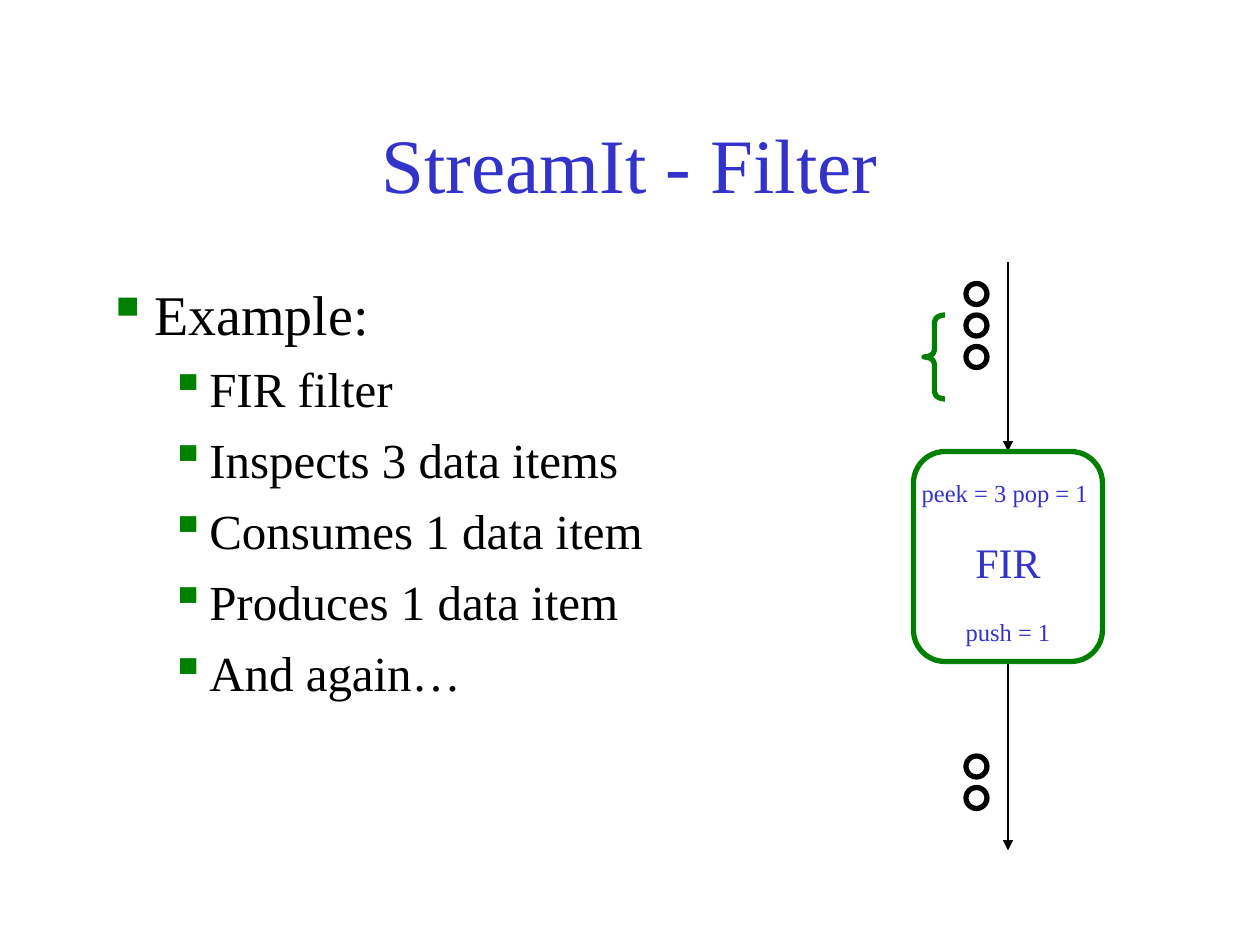
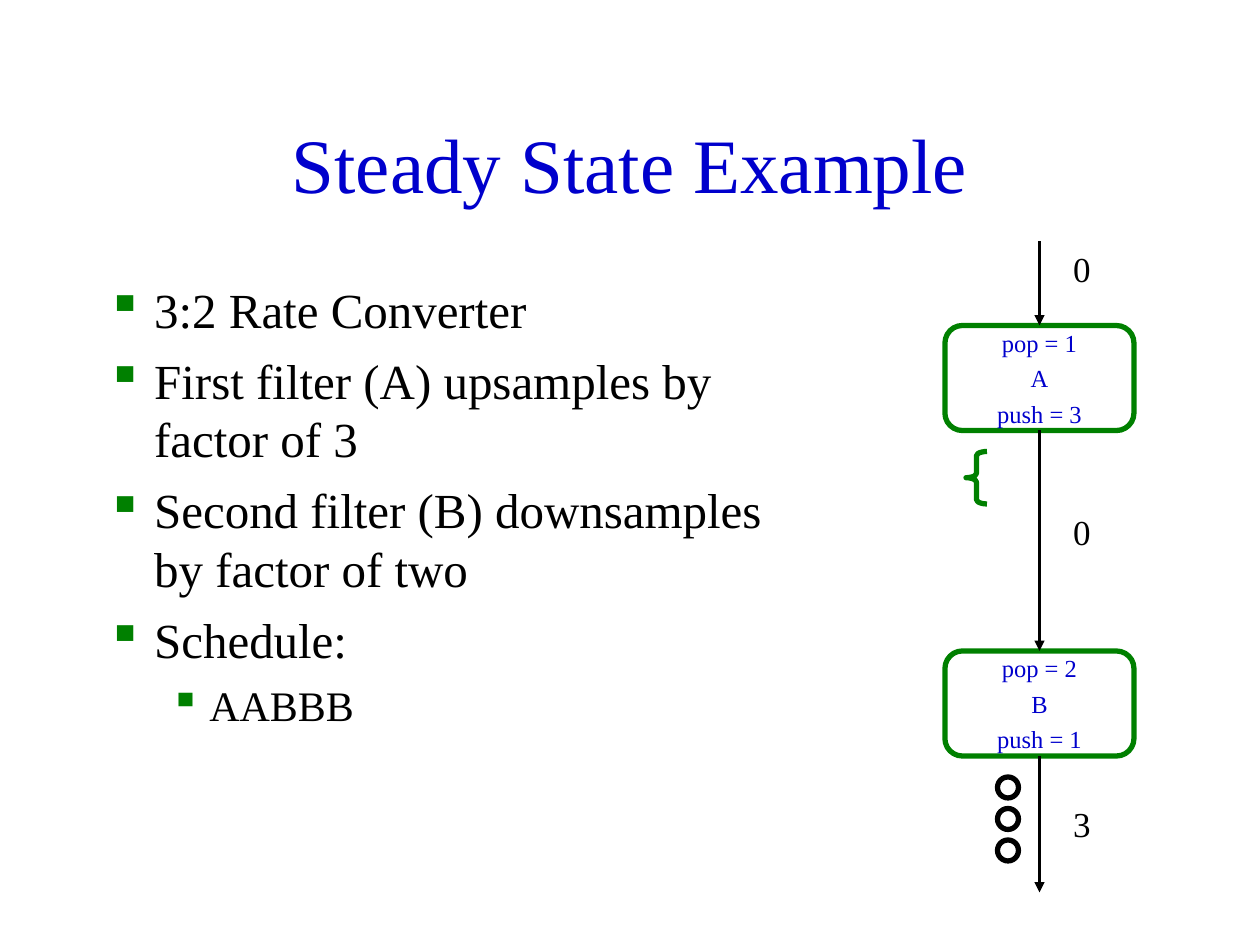
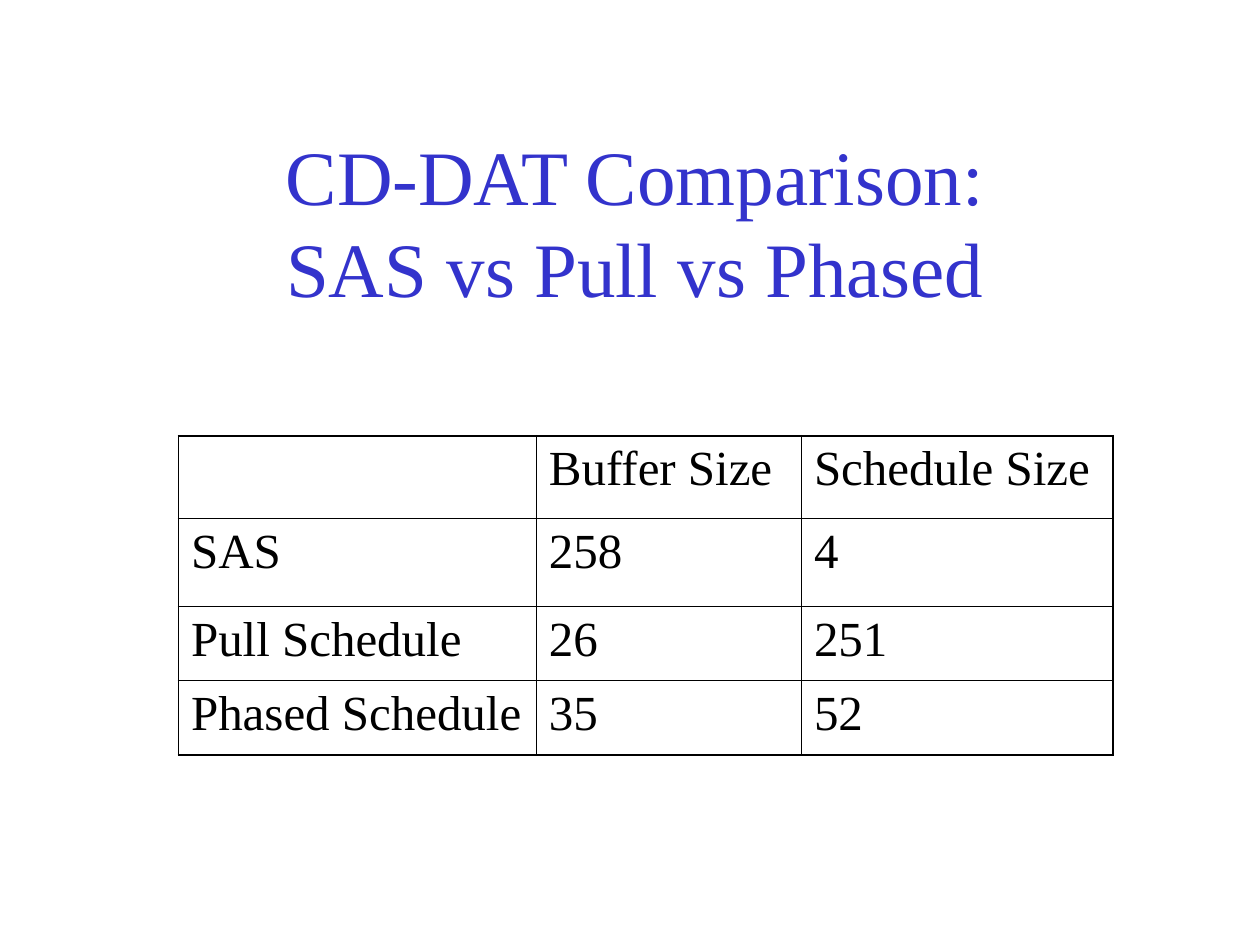
from typing import NamedTuple

from lxml import etree
from pptx import Presentation
from pptx.dml.color import RGBColor
from pptx.enum.shapes import MSO_CONNECTOR, MSO_SHAPE
from pptx.enum.text import MSO_ANCHOR, MSO_AUTO_SIZE, PP_ALIGN
from pptx.oxml.ns import qn
from pptx.util import Pt

BLACK = RGBColor(0x00, 0x00, 0x00)
GREEN = RGBColor(0x00, 0x80, 0x00)
INDIGO = RGBColor(0x33, 0x33, 0xCC)
BLUE = RGBColor(0x00, 0x00, 0xCC)

STRAIGHT = MSO_CONNECTOR.STRAIGHT
ELLIPSE = MSO_SHAPE.OVAL
LEFT_BRACE = MSO_SHAPE.LEFT_BRACE
ROUND_RECT = MSO_SHAPE.ROUNDED_RECTANGLE
ALT_PROCESS = MSO_SHAPE.FLOWCHART_ALTERNATE_PROCESS
TOP, MIDDLE = MSO_ANCHOR.TOP, MSO_ANCHOR.MIDDLE
LEFT, CENTER = PP_ALIGN.LEFT, PP_ALIGN.CENTER
GROW = MSO_AUTO_SIZE.SHAPE_TO_FIT_TEXT

FONT = "Times New Roman"
LEADING = 1.2
ITEM_SIZE = 12
ITEM_STEP = 18
BRACE_WIDTH = 12
OUTER_BORDER = 1.08
INNER_BORDER = 0.45
INDENTS = [(27, -27), (58.5, -22.5)]


class Box(NamedTuple):
    left: float
    top: float
    width: float
    height: float

    def lengths(self) -> list:
        return [Pt(v) for v in self]


class Line(NamedTuple):
    text: str
    size: float
    before: float = 0
    level: int | None = None


class Arrow(NamedTuple):
    x: float
    start: float
    end: float


class Items(NamedTuple):
    left: float
    top: float
    count: int


class Filter(NamedTuple):
    top: float
    lines: list


class Count(NamedTuple):
    top: float
    text: str


TITLE_BOX = Box(54, 48, 612, 90)


def style_runs(p, size: float, color: RGBColor) -> None:
    formats = {"name": FONT, "size": Pt(size)}
    for r in p.runs:
        for name, value in formats.items():
            setattr(r.font, name, value)
        r.font.color.rgb = color


def add_bullet(p, level: int) -> None:
    margin, indent = INDENTS[level]
    p.level = level
    pPr = p._p.get_or_add_pPr()
    pPr.set("marL", str(Pt(margin)))
    pPr.set("indent", str(Pt(indent)))
    color = etree.SubElement(pPr, qn("a:buClr"))
    etree.SubElement(color, qn("a:srgbClr")).set("val", str(GREEN))
    etree.SubElement(pPr, qn("a:buChar")).set("char", "▪")


def write_lines(tf, lines: list[Line], color: RGBColor, align=CENTER,
                anchor=MIDDLE, wrap: bool = True) -> None:
    tf.word_wrap = wrap
    tf.vertical_anchor = anchor
    for i, line in enumerate(lines):
        p = tf.paragraphs[0] if i == 0 else tf.add_paragraph()
        p.text = line.text
        formats = {
            "alignment": align,
            "line_spacing": Pt(LEADING * line.size),
            "space_before": Pt(line.before if i else 0),
        }
        for name, value in formats.items():
            setattr(p, name, value)
        if line.level is not None:
            add_bullet(p, line.level)
        style_runs(p, line.size, color)


def add_title(s, text: str, color: RGBColor, box: Box = TITLE_BOX) -> None:
    sp = s.shapes.add_textbox(*box.lengths())
    write_lines(sp.text_frame, [Line(text, 44)], color)


def add_body(s, width: float, lines: list[Line]) -> None:
    sp = s.shapes.add_textbox(*Box(54, 156, width, 324).lengths())
    write_lines(sp.text_frame, lines, BLACK, LEFT, TOP)


def add_outline(s, kind, box: Box, color: RGBColor):
    sp = s.shapes.add_shape(kind, *box.lengths())
    sp.shadow.inherit = False
    sp.fill.background()
    sp.line.color.rgb = color
    sp.line.width = Pt(3)
    return sp


def add_items(s, items: Items) -> None:
    for i in range(items.count):
        top = items.top + i * ITEM_STEP
        add_outline(s, ELLIPSE, Box(items.left, top, ITEM_SIZE, ITEM_SIZE), BLACK)


def add_brace(s, left: float, top: float, height: float) -> None:
    sp = add_outline(s, LEFT_BRACE, Box(left, top, BRACE_WIDTH, height), GREEN)
    sp.adjustments[0] = height / 12 / BRACE_WIDTH


def add_arrow(s, arrow: Arrow) -> None:
    ends = (arrow.x, arrow.start, arrow.x, arrow.end)
    cn = s.shapes.add_connector(STRAIGHT, *[Pt(v) for v in ends])
    cn.line.color.rgb = BLACK
    cn.line.width = Pt(1.5)
    etree.SubElement(cn.line._get_or_add_ln(), qn("a:tailEnd")).set("type", "triangle")
    etree.SubElement(cn._element.spPr, qn("a:effectLst"))


def add_count(s, count: Count) -> None:
    sp = s.shapes.add_textbox(*Box(606, count.top, 24.5, 32).lengths())
    write_lines(sp.text_frame, [Line(count.text, 20)], BLACK, anchor=TOP, wrap=False)
    sp.text_frame.auto_size = GROW


def set_borders(cell, widths: dict[str, float]) -> None:
    tcPr = cell._tc.get_or_add_tcPr()
    for i, (side, width) in enumerate(widths.items()):
        ln = etree.Element(qn(f"a:{side}"))
        ln.set("w", str(Pt(width)))
        fill = etree.SubElement(ln, qn("a:solidFill"))
        etree.SubElement(fill, qn("a:srgbClr")).set("val", str(BLACK))
        tcPr.insert(i, ln)


def add_grid(s, left: float, top: float, widths: list[float],
             heights: list[float], rows: list[list[str]]) -> None:
    box = Box(left, top, sum(widths), sum(heights))
    table = s.shapes.add_table(len(heights), len(widths), *box.lengths()).table
    table.first_row = table.horz_banding = False
    for column, width in zip(table.columns, widths):
        column.width = Pt(width)
    for row, height in zip(table.rows, heights):
        row.height = Pt(height)
    last_row, last_col = len(heights) - 1, len(widths) - 1
    for i, row in enumerate(rows):
        for j, text in enumerate(row):
            cell = table.cell(i, j)
            cell.fill.background()
            if text:
                cell.text = text
                style_runs(cell.text_frame.paragraphs[0], 28, BLACK)
            edges = {"lnL": j == 0, "lnR": j == last_col,
                     "lnT": i == 0, "lnB": i == last_row}
            set_borders(cell, {side: OUTER_BORDER if outer else INNER_BORDER
                               for side, outer in edges.items()})


def build_filter_slide(s) -> None:
    add_title(s, "StreamIt - Filter", INDIGO)
    details = ["FIR filter", "Inspects 3 data items", "Consumes 1 data item",
               "Produces 1 data item", "And again…"]
    add_body(s, 384, [Line("Example:", 32, 0, 0)] + [Line(t, 28, 7, 1) for t in details])
    for arrow in [Arrow(576, 150, 258), Arrow(576, 378, 486)]:
        add_arrow(s, arrow)
    for items in [Items(552, 162, 3), Items(552, 432, 2)]:
        add_items(s, items)
    add_brace(s, 528, 180, 48)
    sp = add_outline(s, ALT_PROCESS, Box(522, 258, 108, 120), GREEN)
    lines = [Line("peek = 3 pop = 1 ", 14), Line("FIR", 24, 17), Line("push = 1", 14, 17)]
    write_lines(sp.text_frame, lines, INDIGO, wrap=False)
    sp.text_frame.margin_top = Pt(10)


def build_steady_state_slide(s) -> None:
    add_title(s, "Steady State Example", BLUE)
    points = ["3:2 Rate Converter", "First filter (A) upsamples by factor of 3",
              "Second filter (B) downsamples by factor of two", "Schedule:"]
    add_body(s, 420, [Line(t, 28, 7, 0) for t in points] + [Line("AABBB", 24, 6, 1)])
    for f in [Filter(186, ["pop = 1", "A", "push = 3"]),
              Filter(372, ["pop = 2", "B", "push = 1"])]:
        sp = add_outline(s, ROUND_RECT, Box(540, f.top, 108, 60), GREEN)
        write_lines(sp.text_frame, [Line(t, 14, 3.5) for t in f.lines], BLUE, wrap=False)
    for arrow in [Arrow(594, 138, 186), Arrow(594, 246, 372), Arrow(594, 432, 510)]:
        add_arrow(s, arrow)
    for count in [Count(138, "0"), Count(288, "0"), Count(455, "3")]:
        add_count(s, count)
    add_brace(s, 552, 258, 30)
    add_items(s, Items(570, 444, 3))


def build_comparison_slide(s) -> None:
    add_title(s, "CD-DAT Comparison:\vSAS vs Pull vs Phased", INDIGO, Box(54, 66, 618, 120))
    rows = [
        ["", "Buffer Size", "Schedule Size"],
        ["SAS", "258", "4"],
        ["Pull Schedule", "26", "251"],
        ["Phased Schedule", "35", "52"],
    ]
    add_grid(s, 102, 249, [204.5, 151.5, 178], [47.5, 50, 42.5, 42.5], rows)


def main() -> None:
    prs = Presentation()
    prs.slide_width, prs.slide_height = Pt(720), Pt(540)
    for build in (build_filter_slide, build_steady_state_slide, build_comparison_slide):
        build(prs.slides.add_slide(prs.slide_layouts[6]))
    prs.save("out.pptx")


if __name__ == "__main__":
    main()
